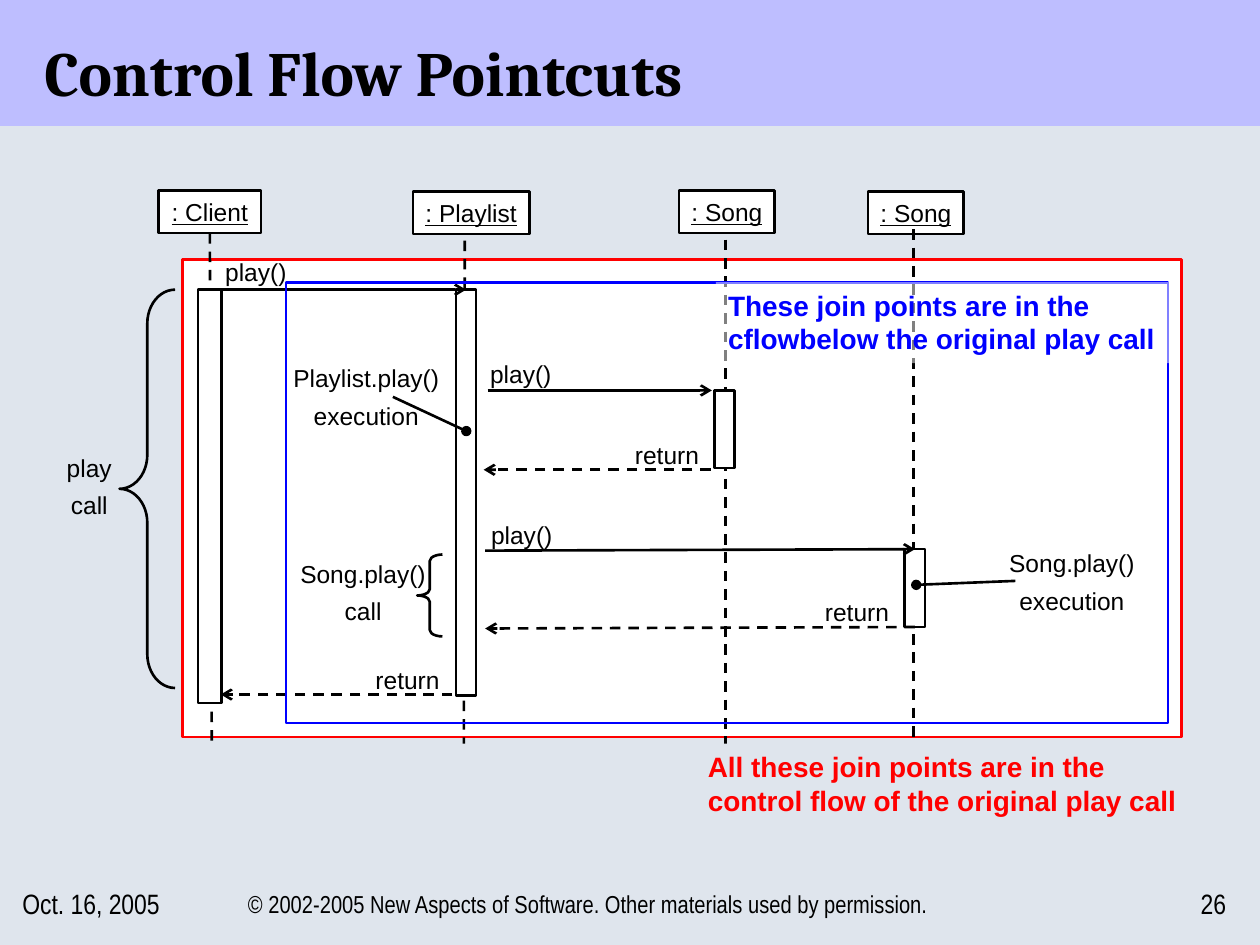
"""Build the Control Flow Pointcuts sequence diagram slide."""
from typing import NamedTuple, Optional

from pptx import Presentation
from pptx.dml.color import RGBColor
from pptx.enum.dml import MSO_LINE
from pptx.enum.shapes import MSO_CONNECTOR, MSO_SHAPE
from pptx.enum.text import MSO_ANCHOR, MSO_AUTO_SIZE, PP_ALIGN
from pptx.oxml.ns import qn
from pptx.util import Cm, Pt
from lxml.etree import SubElement

COLORS = {"bg": "DFE5ED", "band": "BEBEFF", "white": "FFFFFF",
          "black": "000000", "red": "FF0000", "blue": "0000FF"}
LABEL = {"size": Pt(14), "name": "Arial"}
HEAD = {**LABEL, "underline": True}
CAPTION = {"size": Pt(16), "name": "Arial", "bold": True}
TITLE = {"size": Pt(36), "name": "Cambria", "bold": True}
NOTICE = {"size": Pt(14), "name": "Arial Narrow"}
FOOTER = {"size": Pt(16), "name": "Arial Narrow"}
LEFT, CENTER, RIGHT = PP_ALIGN.LEFT, PP_ALIGN.CENTER, PP_ALIGN.RIGHT
TOP, MIDDLE, BOTTOM = MSO_ANCHOR.TOP, MSO_ANCHOR.MIDDLE, MSO_ANCHOR.BOTTOM


class Box(NamedTuple):
    x: float
    y: float
    w: float
    h: float


class Line(NamedTuple):
    x1: float
    y1: float
    x2: float
    y2: float
    dashed: bool = False
    tail: Optional[str] = None


class Participant(NamedTuple):
    name: str
    head: Box
    lifeline: Line
    bar: Box


class Message(NamedTuple):
    text: str
    label: Box
    line: Line
    start: Optional[tuple] = None
    end: Optional[tuple] = None


PARTICIPANTS = [
    Participant(": Client", Box(3.2, 3.84, 2.06, 0.86),
                Line(4.17, 4.72, 4.27, 14.99, True), Box(3.99, 5.84, 0.48, 8.33)),
    Participant(": Playlist", Box(8.33, 3.86, 2.34, 0.86),
                Line(9.37, 4.85, 9.35, 14.99, True), Box(9.19, 5.84, 0.41, 8.18)),
    Participant(": Song", Box(13.69, 3.84, 1.93, 0.86),
                Line(14.63, 4.83, 14.63, 16.51, True), Box(14.4, 7.87, 0.41, 1.57)),
    Participant(": Song", Box(17.5, 3.86, 1.93, 0.86),
                Line(18.42, 4.62, 18.42, 16.31, True), Box(18.24, 11.07, 0.41, 1.57)),
]
MESSAGES = [
    Message("play()", Box(4.29, 5.05, 1.75, 0.86),
            Line(4.24, 5.82, 9.35, 5.82, False, "arrow"), (0, 0), (1, 0)),
    Message("play()", Box(9.63, 7.11, 1.75, 0.86),
            Line(9.83, 7.87, 14.35, 7.87, False, "arrow")),
    Message("return", Box(12.55, 8.74, 1.8, 0.86),
            Line(14.33, 9.47, 9.75, 9.47, True, "arrow")),
    Message("play()", Box(9.65, 10.36, 1.75, 0.86),
            Line(9.78, 11.1, 18.44, 11.1, False, "arrow"), None, (3, 0)),
    Message("return", Box(16.38, 11.91, 1.8, 0.86),
            Line(18.42, 12.67, 9.78, 12.67, True, "arrow"), (3, 2)),
    Message("return", Box(7.32, 13.28, 1.8, 0.86),
            Line(9.12, 14, 4.45, 14, True, "arrow")),
]
NOTES = [
    ("play\ncall", Box(1.09, 9.14, 1.42, 1.45)),
    ("Song.play()\ncall", Box(5.49, 11.28, 3.66, 1.45)),
    ("Playlist.play()\nexecution", Box(5.66, 7.34, 3.45, 1.45)),
    ("Song.play()\nexecution", Box(20.02, 11.07, 3.18, 1.45)),
]
POINTERS = [Line(7.92, 8, 9.4, 8.69, False, "oval"),
            Line(20.47, 11.71, 18.47, 11.79, False, "oval")]
BRACES = [(Box(2.41, 5.84, 1.12, 8.03), 0.61), (Box(8.41, 11.18, 0.51, 1.65), 0.25)]
FOOTERS = [
    ("© 2002-2005 New Aspects of Software. Other materials used by permission.",
     Box(4.45, 17.58, 14.81, 1.27), NOTICE, CENTER),
    ("26", Box(23.5, 17.58, 1.47, 1.27), FOOTER, RIGHT),
    ("Oct. 16, 2005", Box(0.2, 17.58, 4.24, 1.27), FOOTER, LEFT),
]


def rgb(key: str) -> RGBColor:
    return RGBColor.from_string(COLORS[key])


def write(sp, text: str, fmt: dict, color: str = "black", align=LEFT,
          anchor=TOP, wrap: bool = False) -> None:
    tf = sp.text_frame
    tf.text = text
    frame = {"word_wrap": wrap, "auto_size": MSO_AUTO_SIZE.NONE, "vertical_anchor": anchor}
    for name, value in frame.items():
        setattr(tf, name, value)
    for i, p in enumerate(tf.paragraphs):
        p.alignment = align
        if len(tf.paragraphs) > 1:
            p.line_spacing = 0.75
        if i:
            p.space_before = Pt(8.8)
        for r in p.runs:
            for name, value in fmt.items():
                setattr(r.font, name, value)
            r.font.color.rgb = rgb(color)


def add_shape(s, box: Box, fill: Optional[str] = None, line: Optional[str] = None,
              kind=MSO_SHAPE.RECTANGLE):
    sp = s.shapes.add_shape(kind, *map(Cm, box))
    sp.shadow.inherit = False
    if fill:
        sp.fill.solid()
        sp.fill.fore_color.rgb = rgb(fill)
    else:
        sp.fill.background()
    if line:
        sp.line.color.rgb = rgb(line)
        sp.line.width = Pt(1.5)
    else:
        sp.line.fill.background()
    return sp


def add_text(s, box: Box, text: str, fmt: dict, **layout) -> None:
    write(s.shapes.add_textbox(*map(Cm, box)), text, fmt, **layout)


def add_line(s, line: Line):
    cn = s.shapes.add_connector(MSO_CONNECTOR.STRAIGHT, *map(Cm, line[:4]))
    cn.line.color.rgb = rgb("black")
    cn.line.width = Pt(1.5)
    if line.dashed:
        cn.line.dash_style = MSO_LINE.DASH
    sp_pr = cn.element.spPr
    if line.tail:
        SubElement(sp_pr.find(qn("a:ln")), qn("a:tailEnd"), type=line.tail)
    SubElement(sp_pr, qn("a:effectLst"))
    return cn


def main() -> None:
    prs = Presentation()
    prs.slide_width, prs.slide_height = Cm(25.4), Cm(19.05)
    s = prs.slides.add_slide(prs.slide_layouts[5])
    s.background.fill.solid()
    s.background.fill.fore_color.rgb = rgb("bg")

    title = s.shapes.title
    title.left, title.top, title.width, title.height = map(Cm, (0.64, 0.43, 24.33, 1.9))
    write(title, "Control Flow Pointcuts", TITLE, anchor=BOTTOM, wrap=True)
    band = add_shape(s, Box(0, 0, 25.4, 2.54), "band")
    title.element.addprevious(band.element)

    add_shape(s, Box(3.68, 5.23, 20.14, 9.63), "white", "red")
    heads = [add_shape(s, part.head, "white", "black") for part in PARTICIPANTS]
    for part, head in zip(PARTICIPANTS, heads):
        write(head, part.name, HEAD, align=CENTER, anchor=MIDDLE)
    lifelines = [add_line(s, part.lifeline) for part in PARTICIPANTS]
    lifelines[0].begin_connect(heads[0], 2)
    bars = [add_shape(s, part.bar, "white", "black") for part in PARTICIPANTS]

    for msg in MESSAGES:
        add_text(s, msg.label, msg.text, LABEL)
        cn = add_line(s, msg.line)
        for join, site in ((cn.begin_connect, msg.start), (cn.end_connect, msg.end)):
            if site:
                join(bars[site[0]], site[1])

    for box, curve in BRACES:
        brace = add_shape(s, box, line="black", kind=MSO_SHAPE.LEFT_BRACE)
        brace.adjustments[0] = curve
    for text, box in NOTES:
        add_text(s, box, text, LABEL, align=CENTER)
    for pointer in POINTERS:
        add_line(s, pointer)

    flow = add_shape(s, Box(14.02, 14.99, 10.11, 1.63), "bg")
    write(flow, "All these join points are in the control flow of the original play call",
          CAPTION, "red", wrap=True)
    add_shape(s, Box(5.77, 5.69, 17.78, 8.89), line="blue")
    below = add_shape(s, Box(14.43, 5.69, 9.32, 1.63), "white")
    fill = below.element.spPr.find(qn("a:solidFill"))
    SubElement(fill.find(qn("a:srgbClr")), qn("a:alpha"), val="50000")
    write(below, "These join points are in the cflowbelow the original play call",
          CAPTION, "blue", wrap=True)

    for text, box, fmt, align in FOOTERS:
        add_text(s, box, text, fmt, align=align, anchor=MIDDLE, wrap=True)
    prs.save("out.pptx")


if __name__ == "__main__":
    main()
